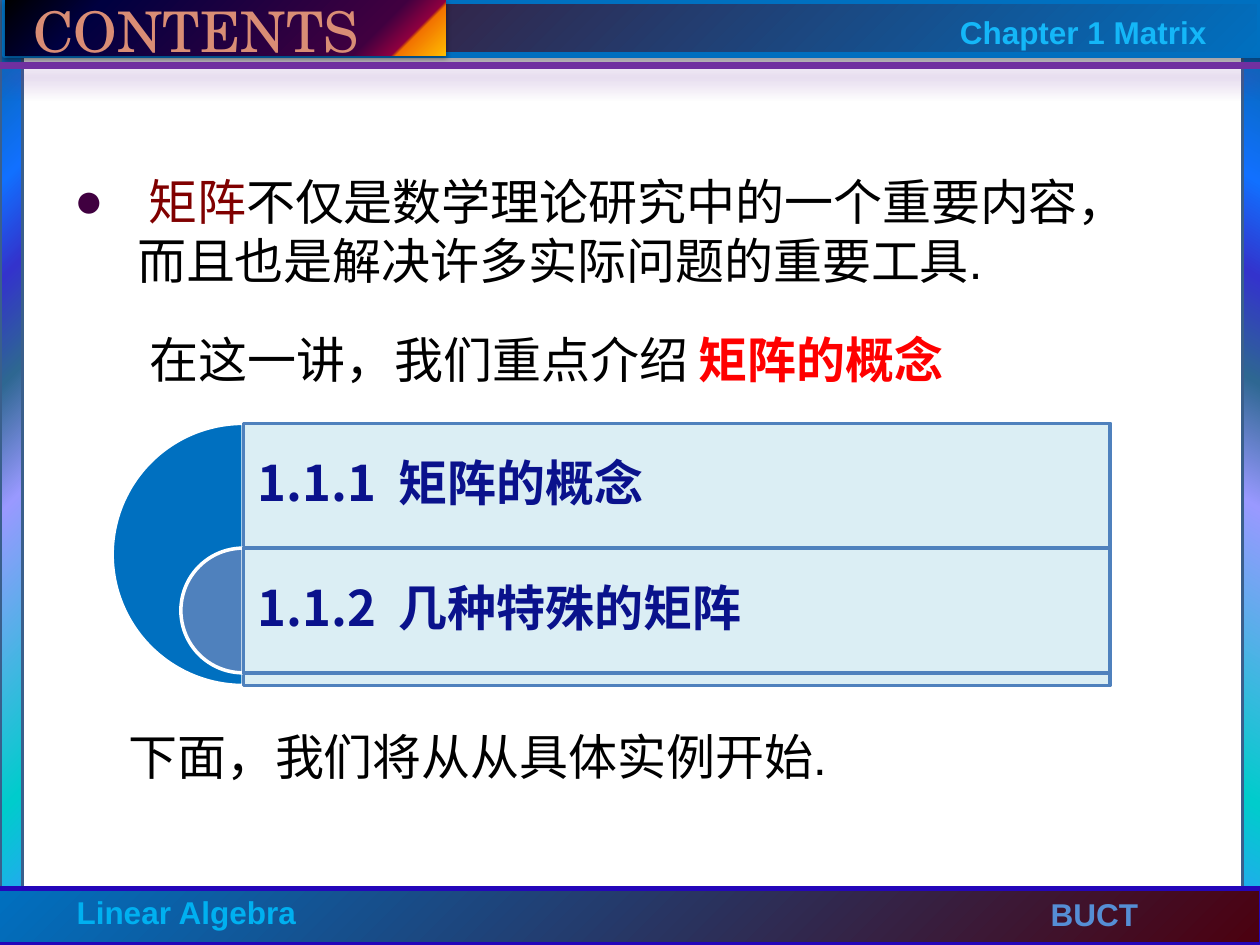
import lxml.etree
import pptx
import pptx.dml.color
import pptx.enum.shapes
import pptx.enum.text
import pptx.oxml
import pptx.oxml.ns
import pptx.util

Pt = pptx.util.Pt
RGBColor = pptx.dml.color.RGBColor
Shape = pptx.enum.shapes.MSO_SHAPE
Anchor = pptx.enum.text.MSO_ANCHOR
Align = pptx.enum.text.PP_ALIGN

BLACK = RGBColor(0x00, 0x00, 0x00)
WHITE = RGBColor(0xFF, 0xFF, 0xFF)
RED = RGBColor(0xFF, 0x00, 0x00)
MAROON = RGBColor(0x80, 0x00, 0x00)
PLUM = RGBColor(0x40, 0x00, 0x40)
WINE = RGBColor(0x4C, 0x00, 0x0F)
PURPLE = RGBColor(0x70, 0x30, 0xA0)
INDIGO = RGBColor(0x24, 0x06, 0xBA)
NAVY = RGBColor(0x0A, 0x12, 0x8C)
BLUE = RGBColor(0x00, 0x70, 0xC0)
STEEL = RGBColor(0x4F, 0x81, 0xBD)
SLATE = RGBColor(0x3A, 0x5F, 0x8C)
PALE = RGBColor(0xDB, 0xEE, 0xF4)
SKY = RGBColor(0x00, 0xB0, 0xF0)
CYAN = RGBColor(0x14, 0xB7, 0xF8)
SOFT_BLUE = RGBColor(0x55, 0x8E, 0xD5)
SALMON = RGBColor(0xD9, 0x8D, 0x75)

SIDE_STOPS = [(0, "3399FF"), (16, "00CCCC"), (47, "9999FF"), (60, "2E6792"),
              (71, "3333CC"), (81, "1170FF"), (100, "006699")]
BAR_STOPS = [(0, BLUE), (100, WINE)]
TITLE_STOPS = [(0, "000000"), (20, "000040"), (81, "400040"), (89, "8F0040"),
               (90, "F27300"), (97, "FBA600"), (100, "FFBF00")]
LATIN = "Arial"
CHINESE = "Noto Sans CJK SC"


class SlideBuilder:
    """Hold the text style and the current slide, and draw its elements."""

    def __init__(self, page, size=28, font=LATIN, color=BLACK):
        self.page = page
        self.size = size
        self.font = font
        self.color = color

    def element(self, parent, tag, **attributes):
        child = lxml.etree.SubElement(parent, pptx.oxml.ns.qn(tag))
        for name, value in attributes.items():
            child.set(name, str(value))
        return child

    def shadow(self, shape, color, alpha, blur, distance):
        properties = shape.element.spPr
        effects = properties.find(pptx.oxml.ns.qn("a:effectLst"))
        if effects is None:
            effects = self.element(properties, "a:effectLst")
        outer = self.element(effects, "a:outerShdw", blurRad=Pt(blur), dist=Pt(distance),
                             dir=5400000, rotWithShape=0)
        tint = self.element(outer, "a:srgbClr", val=color)
        self.element(tint, "a:alpha", val=alpha * 1000)

    def shape(self, kind, place, fill=None, line=None, weight=2, alpha=100):
        shape = self.page.shapes.add_shape(kind, *map(Pt, place))
        shape.shadow.inherit = False
        if fill is not None:
            shape.fill.solid()
            shape.fill.fore_color.rgb = fill
            if alpha < 100:
                tint = shape.element.spPr.find(".//" + pptx.oxml.ns.qn("a:srgbClr"))
                self.element(tint, "a:alpha", val=alpha * 1000)
        if line is None:
            shape.line.fill.background()
        else:
            shape.line.color.rgb = line
            shape.line.width = Pt(weight)
        return shape

    def gradient_bar(self, place, stops, angle=None, corner=None, line=None, weight=2):
        bar = self.shape(Shape.RECTANGLE, place, WHITE, line, weight)
        solid = bar.element.spPr.find(pptx.oxml.ns.qn("a:solidFill"))
        gradient = pptx.oxml.parse_xml(
            "<a:gradFill %s rotWithShape='1'/>" % pptx.oxml.ns.nsdecls("a"))
        stop_list = self.element(gradient, "a:gsLst")
        for position, color in stops:
            stop = self.element(stop_list, "a:gs", pos=position * 1000)
            self.element(stop, "a:srgbClr", val=color)
        if corner is None:
            self.element(gradient, "a:lin", ang=angle * 60000, scaled=0)
        else:
            circle = self.element(gradient, "a:path", **{"path": "circle"})
            sides = zip("ltrb", (corner, corner, 100 - corner, 100 - corner))
            self.element(circle, "a:fillToRect",
                         **{side: value * 1000 for side, value in sides})
        bar.element.spPr.replace(solid, gradient)
        return bar

    def half_disc(self, place, fill):
        disc = self.shape(Shape.PIE, place, fill, WHITE)
        disc.adjustments[0] = 54
        disc.adjustments[1] = 162

    def rule(self, start, end, color, weight):
        straight = pptx.enum.shapes.MSO_CONNECTOR.STRAIGHT
        rule = self.page.shapes.add_connector(straight, *map(Pt, start + end))
        rule.line.color.rgb = color
        rule.line.width = Pt(weight)
        self.shadow(rule, color, 60, 12, 6)

    def add_spans(self, frame, *spans):
        para = frame.paragraphs[0]
        para.alignment = Align.LEFT
        for text, style in spans:
            span = para.add_run()
            span.text = text
            span.font.size = Pt(style.get("size", self.size))
            span.font.name = style.get("font", self.font)
            span.font.bold = style.get("bold", False)
            span.font.color.rgb = style.get("color", self.color)
        return para

    def text(self, place, *spans, wrap=True, inset=None):
        box = self.page.shapes.add_textbox(*map(Pt, place))
        frame = box.text_frame
        frame.word_wrap = wrap
        if inset is not None:
            frame.vertical_anchor = Anchor.MIDDLE
            frame.margin_left = frame.margin_right = Pt(inset)
            frame.margin_top = frame.margin_bottom = Pt(inset)
        return self.add_spans(frame, *spans)

    def bullet(self, para, character, color, indent):
        properties = para._p.get_or_add_pPr()
        properties.set("marL", str(Pt(indent)))
        properties.set("indent", str(-Pt(indent)))
        tint = self.element(properties, "a:buClr")
        self.element(tint, "a:srgbClr", val=color)
        self.element(properties, "a:buFont", typeface=self.font)
        self.element(properties, "a:buChar", char=character)


def draw_frame(builder):
    builder.gradient_bar((0, 0, 13, 540), SIDE_STOPS, corner=100, line=SLATE)
    builder.gradient_bar((710, 2, 13, 540), SIDE_STOPS, angle=300, line=SLATE)
    builder.gradient_bar((-2, 507.6, 723, 32.4), BAR_STOPS, corner=0, line=INDIGO, weight=3)
    header = builder.gradient_bar((2.9, 0.7, 717.1, 31), BAR_STOPS, corner=100,
                                  line=BLUE, weight=3.5)
    builder.shadow(header, BLACK, 32, 3.5, 2.2)
    builder.rule((0, 37.4), (723, 37.4), PURPLE, 3.75)
    labels = [("Linear Algebra", (36.7, 507, 141, 29), SKY),
              ("BUCT", (593.3, 507.6, 80, 29), SOFT_BLUE),
              ("Chapter 1 Matrix", (541.4, 3.6, 162, 29), CYAN)]
    for label, place, color in labels:
        builder.text(place, (label, dict(size=18, color=color, bold=True)), wrap=False)


def draw_contents(builder):
    intro = builder.text(
        (35.3, 94.3, 630.7, 334.8),
        (" ", dict(font=CHINESE, color=PLUM, bold=True)),
        ("矩阵", dict(color=MAROON)),
        ("不仅是数学理论研究中的一个重要内容，而且也是解决许多实际问题的重要工具.", {}))
    intro.space_before = Pt(5.6)
    builder.bullet(intro, "●", PLUM, 36)
    builder.text((78.5, 185, 588, 41), ("在这一讲，我们重点介绍 ", {}),
                 ("矩阵的概念", dict(font=CHINESE, color=RED, bold=True)))

    left, width, row_height = 139, 495.4, 71.3
    sections = [("1.1.1  矩阵的概念", 149.8, BLUE, 100),
                ("1.1.2  几种特殊的矩阵", row_height, STEEL, 90)]
    for row, (heading, height, color, alpha) in enumerate(sections):
        top = 241.9 + row * row_height
        builder.half_disc((left - height / 2, top, height, height), color)
        builder.shape(Shape.RECTANGLE, (left, top, width, height), PALE, STEEL, alpha=alpha)
        para = builder.text((left, top, width, row_height),
                            (heading, dict(font=CHINESE, color=NAVY, bold=True)), inset=8.4)
        para.line_spacing = 0.9
    builder.text((66.2, 411.8, 600, 41), ("下面，我们将从从具体实例开始.", {}))

    title = builder.gradient_bar((2.9, 0, 252, 31.7), TITLE_STOPS, angle=45)
    builder.shadow(title, BLACK, 35, 3.1, 1.8)
    title.text_frame.vertical_anchor = Anchor.MIDDLE
    builder.add_spans(title.text_frame, (" ", dict(size=36, font="Lato", color=SALMON)),
                      ("CONTENTS", dict(size=32, font="TeX Gyre Schola", color=SALMON)))


def main():
    deck = pptx.Presentation()
    deck.slide_width, deck.slide_height = Pt(720), Pt(540)
    builder = SlideBuilder(deck.slides.add_slide(deck.slide_layouts[6]))
    draw_frame(builder)
    draw_contents(builder)
    deck.save("out.pptx")


if __name__ == "__main__":
    main()
